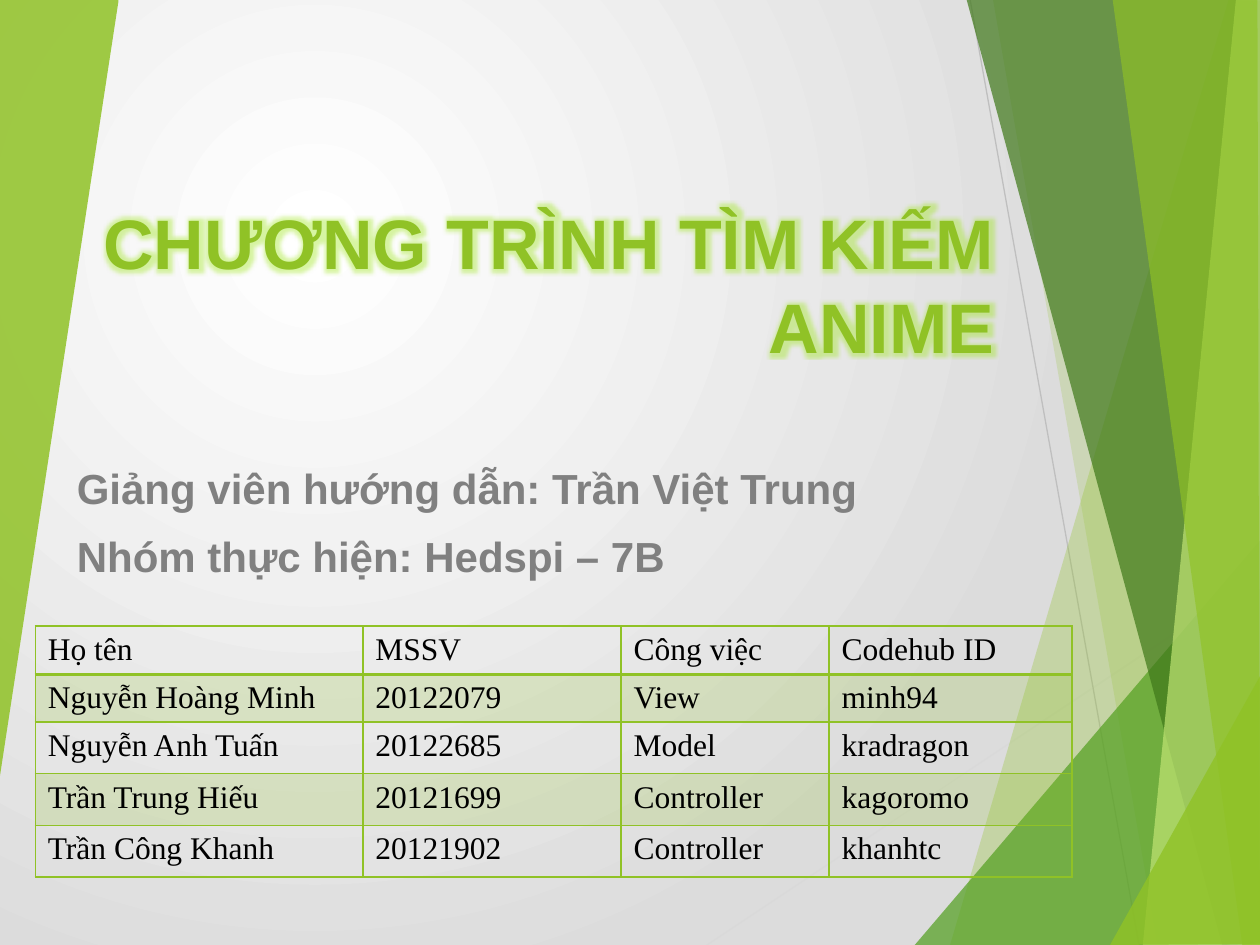
from typing import NamedTuple

from lxml import etree
from pptx import Presentation
from pptx import util as u
from pptx.dml.color import RGBColor
from pptx.enum import shapes, text
from pptx.oxml import parse_xml
from pptx.oxml.ns import nsdecls, qn

GREEN = "90C226"
RIGHT, BOTTOM = 10.01, 7.5
Point = tuple[float, float]


class Facet(NamedTuple):
    color: str
    opacity: int
    points: list[Point]


class Ray(NamedTuple):
    start: Point
    end: Point
    color: str


RAYS = [
    Ray((5.61, BOTTOM), (RIGHT, 4.57), "D9D9D9"),
    Ray((7.7, 0), (9.04, BOTTOM), "BFBFBF"),
]
FACETS = [
    Facet(GREEN, 30, [(9.75, 0), (7.54, BOTTOM), (10.02, 7.51), (RIGHT, 0.01)]),
    Facet(GREEN, 20, [(7.88, -0.01), (9.19, BOTTOM), (RIGHT, BOTTOM), (RIGHT, -0.01)]),
    Facet("54A021", 72, [(7.26, BOTTOM), (10, 4.29), (RIGHT, BOTTOM)]),
    Facet("3F7819", 70, [(7.67, -0.01), (9.7, BOTTOM), (RIGHT, 7.49), (RIGHT, -0.01)]),
    Facet("C0E474", 70, [(9.81, -0.01), (9.07, BOTTOM), (RIGHT, BOTTOM), (10, -0.01)]),
    Facet(GREEN, 65, [(8.83, -0.01), (9.86, BOTTOM), (10, BOTTOM), (9.98, -0.01)]),
    Facet(GREEN, 80, [(8.81, BOTTOM), (RIGHT, 5.35), (RIGHT, 7.49)]),
    Facet(GREEN, 85, [(-0.01, 0), (0.94, -0.01), (0.94, 0.01), (-0.01, 6.22)]),
]
COLUMN_WIDTHS = [2.6, 2.05, 1.65, 1.93]
ROW_HEIGHTS = [0.38, 0.38, 0.41, 0.41, 0.41]
MEMBERS = [
    ("Họ tên", "MSSV", "Công việc", "Codehub ID"),
    ("Nguyễn Hoàng Minh", "20122079", "View", "minh94"),
    ("Nguyễn Anh Tuấn", "20122685", "Model", "kradragon"),
    ("Trần Trung Hiếu", "20121699", "Controller", "kagoromo"),
    ("Trần Công Khanh", "20121902", "Controller", "khanhtc"),
]


def rgb(color: str) -> RGBColor:
    return RGBColor.from_string(color)


def fill_solid(fill, color: str, opacity: int) -> None:
    fill.solid()
    fill.fore_color.rgb = rgb(color)
    # The fill's colour node is the one inside the solidFill just made.
    color_node = fill.fore_color._color._xClr
    etree.SubElement(color_node, qn("a:alpha"), val=str(opacity * 1000))


def set_background(slide) -> None:
    """Radial gradient centred in the upper left quarter."""
    fill = slide.background.fill
    fill.gradient()
    for stop, color in zip(fill.gradient_stops, ("FFFFFF", "DCDCDC")):
        stop.color.rgb = rgb(color)
    gradient = slide.element.find(".//" + qn("a:gradFill"))
    gradient.remove(gradient.find(qn("a:lin")))
    gradient.append(parse_xml(
        f'<a:path {nsdecls("a")} path="circle">'
        '<a:fillToRect l="50000" t="50000" r="100000" b="100000"/></a:path>'))


def draw_ray(slide, ray: Ray) -> None:
    ends = [u.Inches(value) for value in ray.start + ray.end]
    connector = slide.shapes.add_connector(shapes.MSO_CONNECTOR.STRAIGHT, *ends)
    connector.line.color.rgb = rgb(ray.color)
    connector.line.width = u.Pt(0.75)
    etree.SubElement(connector.element.spPr, qn("a:effectLst"))


def draw_facet(slide, facet: Facet) -> None:
    start, *others = [(u.Inches(x), u.Inches(y)) for x, y in facet.points]
    builder = slide.shapes.build_freeform(*start)
    builder.add_line_segments(others)
    shape = builder.convert_to_shape()
    shape.shadow.inherit = False
    shape.line.fill.background()
    fill_solid(shape.fill, facet.color, facet.opacity)


def place(shape, left: float, top: float, width: float, height: float) -> None:
    shape.left, shape.top = u.Inches(left), u.Inches(top)
    shape.width, shape.height = u.Inches(width), u.Inches(height)


def format_runs(paragraph, font_name: str, size: int, color: str, bold: bool) -> None:
    for run in paragraph.runs:
        run.font.name = font_name
        run.font.size = u.Pt(size)
        run.font.color.rgb = rgb(color)
        run.font.bold = bold


def add_glow(run, color: str, radius: float) -> None:
    properties = run.font.fill._xPr
    glow = parse_xml(
        f'<a:effectLst {nsdecls("a")}><a:glow rad="{u.Pt(radius)}">'
        f'<a:srgbClr val="{color}"><a:alpha val="40000"/></a:srgbClr>'
        '</a:glow></a:effectLst>')
    properties.find(qn("a:solidFill")).addnext(glow)


def write_title(title) -> None:
    place(title, 0.12, 0.21, 7.87, 2.76)
    frame = title.text_frame
    frame.text = "CHƯƠNG TRÌNH TÌM KIẾM ANIME"
    frame.auto_size = text.MSO_AUTO_SIZE.NONE
    frame.vertical_anchor = text.MSO_ANCHOR.BOTTOM
    paragraph = frame.paragraphs[0]
    paragraph.alignment = text.PP_ALIGN.RIGHT
    format_runs(paragraph, "Arial", 40, GREEN, True)
    add_glow(paragraph.runs[0], "9DE61A", 8)


def write_subtitle(subtitle) -> None:
    place(subtitle, 0.51, 3.04, 7.99, 3.86)
    frame = subtitle.text_frame
    frame.text = "Giảng viên hướng dẫn: Trần Việt Trung\nNhóm thực hiện: Hedspi – 7B"
    frame.auto_size = text.MSO_AUTO_SIZE.NONE
    frame.vertical_anchor = text.MSO_ANCHOR.TOP
    frame.margin_top = u.Inches(0.63)
    for index, paragraph in enumerate(frame.paragraphs):
        paragraph.alignment = text.PP_ALIGN.LEFT
        paragraph.space_before = u.Pt(10 if index else 0)
        format_runs(paragraph, "Arial", 24, "808080", True)


def set_borders(cell, widths: dict[str, float]) -> None:
    """Green borders, put ahead of the fill as the schema asks."""
    properties = cell._tc.get_or_add_tcPr()
    for position, (side, width) in enumerate(widths.items()):
        properties.insert(position, parse_xml(
            f'<a:ln{side} {nsdecls("a")} w="{u.Pt(width)}"><a:solidFill>'
            f'<a:srgbClr val="{GREEN}"/></a:solidFill></a:ln{side}>'))


def add_member_table(slide) -> None:
    frame = slide.shapes.add_table(
        len(MEMBERS), len(COLUMN_WIDTHS), u.Inches(0.28), u.Inches(4.97),
        u.Inches(sum(COLUMN_WIDTHS)), u.Inches(sum(ROW_HEIGHTS)))
    table = frame.table
    table.first_row = table.horz_banding = False
    for column, width in zip(table.columns, COLUMN_WIDTHS):
        column.width = u.Inches(width)
    for index, (row, values) in enumerate(zip(table.rows, MEMBERS)):
        row.height = u.Inches(ROW_HEIGHTS[index])
        top, bottom = (2 if index == 1 else 1), (2 if index == 0 else 1)
        for cell, value in zip(row.cells, values):
            cell.text = value
            format_runs(cell.text_frame.paragraphs[0], "Times New Roman", 18, "000000", False)
            if index % 2:
                fill_solid(cell.fill, GREEN, 20)
            else:
                cell.fill.background()
            set_borders(cell, {"L": 1, "R": 1, "T": top, "B": bottom})


def main() -> None:
    presentation = Presentation()
    presentation.slide_width, presentation.slide_height = u.Inches(10), u.Inches(7.5)
    slide = presentation.slides.add_slide(presentation.slide_layouts[0])
    set_background(slide)
    for ray in RAYS:
        draw_ray(slide, ray)
    for facet in FACETS:
        draw_facet(slide, facet)
    title, subtitle = slide.placeholders
    write_title(title)
    write_subtitle(subtitle)
    for placeholder in (title, subtitle):  # bring in front of the facets
        placeholder.element.getparent().append(placeholder.element)
    add_member_table(slide)
    presentation.save("out.pptx")


if __name__ == "__main__":
    main()
